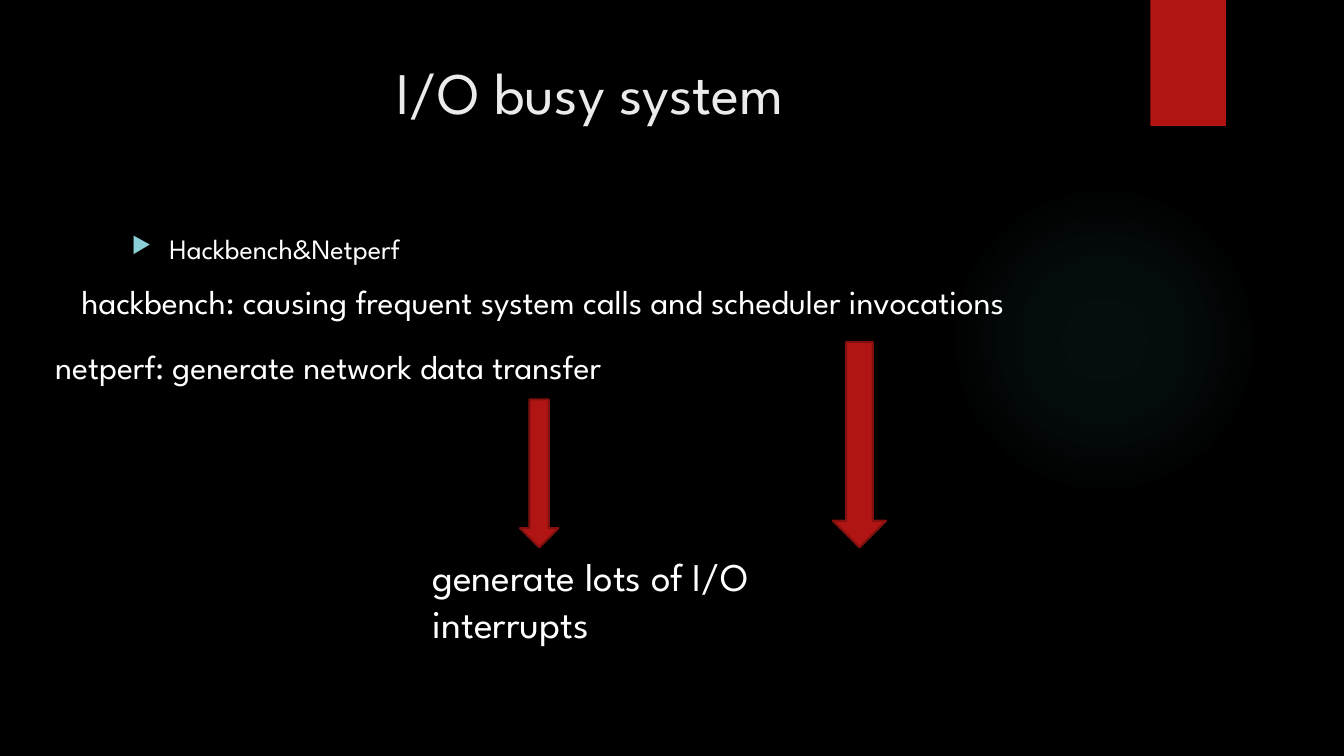
from lxml import etree
from pptx import Presentation
from pptx.dml.color import RGBColor
from pptx.enum import shapes, text
from pptx.oxml import parse_xml
from pptx.oxml.ns import nsdecls, qn
from pptx.util import Pt

BLACK = RGBColor(0x00, 0x00, 0x00)
WHITE = RGBColor(0xFF, 0xFF, 0xFF)
TITLE_GREY = RGBColor(0xEB, 0xEB, 0xEB)
RED = RGBColor(0xB0, 0x15, 0x13)
DARK_RED = RGBColor(0x82, 0x10, 0x0E)
TEAL = RGBColor(0x50, 0xB9, 0xC1)
BULLET_TEAL = RGBColor(0x8A, 0xD0, 0xD6)
FONT = "League Spartan"
GLOW_STOPS = ((0, 7), (36, 6), (69, 0))  # position and opacity, percent


def add_figure(slide, kind, box):
    figure = slide.shapes.add_shape(kind, *map(Pt, box))
    figure.shadow.inherit = False
    figure.line.fill.background()
    return figure


def add_copy(slide, box, wording, size, color=WHITE, **frame_format):
    """Add a one-paragraph text box and return its paragraph."""
    frame = slide.shapes.add_textbox(*map(Pt, box)).text_frame
    for name, value in {"word_wrap": True, **frame_format}.items():
        setattr(frame, name, value)
    paragraph = frame.paragraphs[0]
    run = paragraph.add_run()
    run.text = wording
    for name, value in {"name": FONT, "size": Pt(size)}.items():
        setattr(run.font, name, value)
    run.font.color.rgb = color
    return paragraph


def add_glow(slide, box):
    glow = add_figure(slide, shapes.MSO_SHAPE.OVAL, box)
    glow.fill.background()
    stops = "".join(
        f'<a:gs pos="{position * 1000}"><a:srgbClr val="{TEAL}">'
        f'<a:alpha val="{opacity * 1000}"/></a:srgbClr></a:gs>'
        for position, opacity in GLOW_STOPS)
    gradient = parse_xml(
        f'<a:gradFill {nsdecls("a")} rotWithShape="1"><a:gsLst>{stops}</a:gsLst>'
        '<a:path path="circle"><a:fillToRect l="50000" t="50000" r="50000" b="50000"/>'
        '</a:path></a:gradFill>')
    properties = glow.element.spPr
    properties.replace(properties.find(qn("a:noFill")), gradient)


def add_ribbon(slide, box):
    ribbon = add_figure(slide, shapes.MSO_SHAPE.RECTANGLE, box)
    ribbon.fill.solid()
    ribbon.fill.fore_color.rgb = RED
    ribbon.element.spPr.find(qn("a:effectLst")).append(parse_xml(
        f'<a:outerShdw {nsdecls("a")} blurRad="{Pt(3)}" dist="{Pt(2)}" dir="5400000" '
        f'rotWithShape="0"><a:srgbClr val="{BLACK}"><a:alpha val="45000"/>'
        '</a:srgbClr></a:outerShdw>'))


def add_title(slide, box):
    title = add_copy(slide, box, "I/O busy system", 42, TITLE_GREY)
    title.alignment = text.PP_ALIGN.CENTER


def add_tools_bullet(slide, box):
    tools = add_copy(slide, box, "Hackbench&Netperf", 20)
    properties = tools._p.get_or_add_pPr()
    properties.set("marL", str(Pt(27)))
    properties.set("indent", str(-Pt(27)))
    color = etree.SubElement(properties, qn("a:buClr"))
    etree.SubElement(color, qn("a:srgbClr"), val=str(BULLET_TEAL))
    etree.SubElement(properties, qn("a:buSzPct"), val="80000")
    etree.SubElement(properties, qn("a:buChar"), char="▶")


def add_arrow(slide, box):
    arrow = add_figure(slide, shapes.MSO_SHAPE.DOWN_ARROW, box)
    arrow.fill.solid()
    arrow.fill.fore_color.rgb = RED
    arrow.line.color.rgb = DARK_RED
    arrow.line.width = Pt(1.5)


def add_flow(slide, box):
    """Two causes, each with an arrow down to the shared effect."""
    left, top, width, height = box
    effect_top = top + height - 41
    statements = (
        ("hackbench: causing frequent system calls and scheduler invocations",
         24, (left + 18.7, top, width - 18.7, 36)),
        ("netperf: generate network data transfer",
         24, (left, top + 46, 484, 36)),
        ("generate lots of I/O interrupts",
         28, (left + 269.5, effect_top, 358, 41)),
    )
    for wording, size, place in statements:
        add_copy(slide, place, wording, size,
                 auto_size=text.MSO_AUTO_SIZE.SHAPE_TO_FIT_TEXT)
    for offset, drop, arrow_width in ((339, 88, 27.5), (562.5, 47, 38)):
        add_arrow(slide, (left + offset, top + drop, arrow_width, height - 41 - drop))


def main():
    deck = Presentation()
    deck.slide_width, deck.slide_height = Pt(960), Pt(540)
    slide = deck.slides.add_slide(deck.slide_layouts[6])

    # Backdrop
    slide.background.fill.solid()
    slide.background.fill.fore_color.rgb = BLACK
    add_glow(slide, (677.5, 131.8, 221.8, 221.8))
    add_ribbon(slide, (821.7, 0, 54, 90))

    # Content
    add_title(slide, (51, 36, 741, 110))
    add_tools_bullet(slide, (87, 162, 704, 330))
    add_flow(slide, (32.4, 197.3, 843, 234.7))

    deck.save("out.pptx")


if __name__ == "__main__":
    main()
